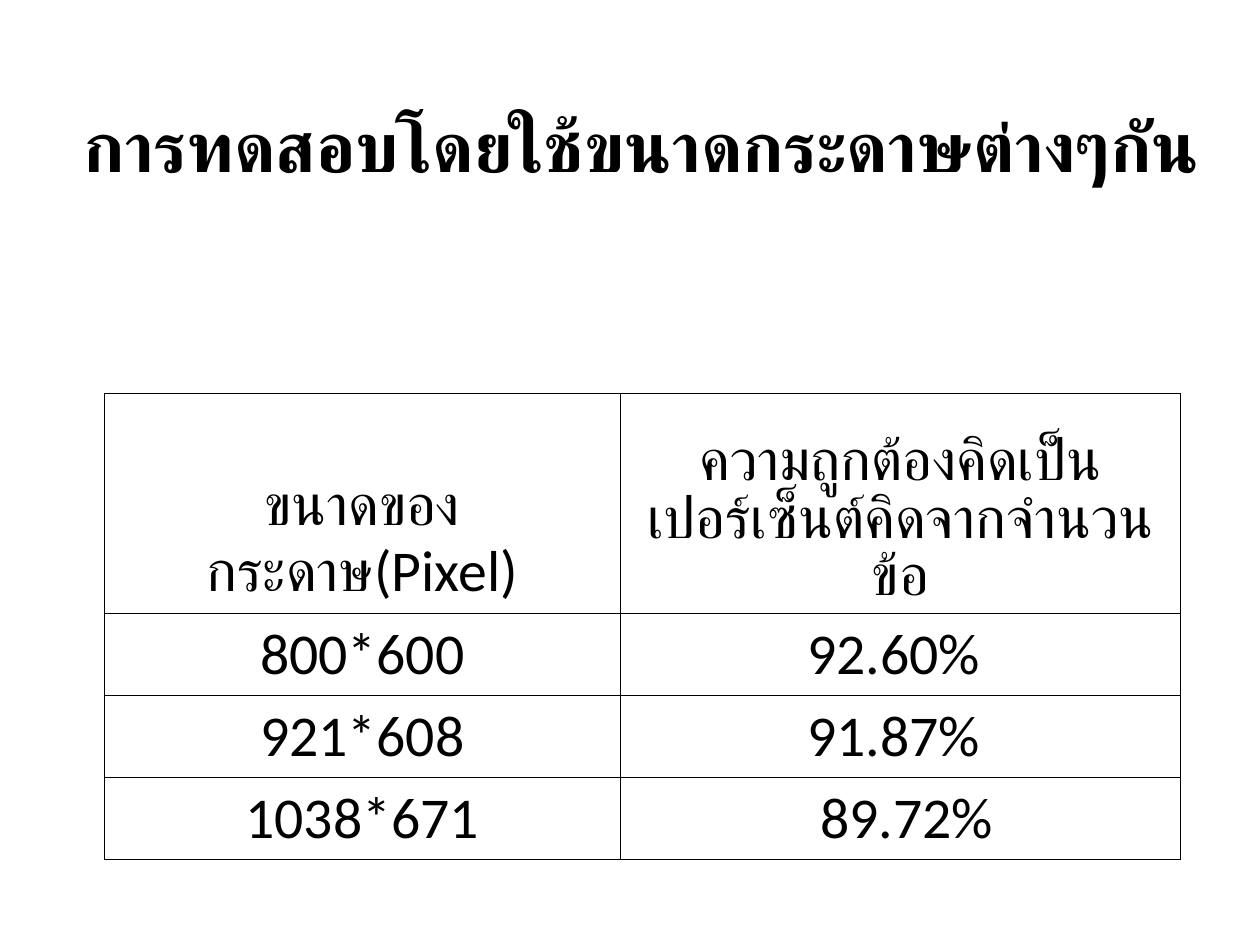
from lxml import etree
from pptx import Presentation
from pptx import util as u
from pptx.dml.color import RGBColor
from pptx.enum import text
from pptx.oxml import ns

BLACK = "000000"
TITLE = "การทดสอบโดยใช้ขนาดกระดาษต่างๆกัน"
ROWS = [
    ("ขนาดของกระดาษ(Pixel)", "ความถูกต้องคิดเป็นเปอร์เซ็นต์คิดจากจำนวนข้อ"),
    ("800*600", "92.60% "),
    ("921*608", "91.87% "),
    ("1038*671", " 89.72%"),
]
COL_WIDTHS = [10.39, 11.3]
ROW_HEIGHTS = [4.45, 1.65, 1.65, 1.65]


def color(value):
    return RGBColor.from_string(value)


def format_text(p, font, size, align, bold=False):
    p.alignment = align
    for r in p.runs:
        r.font.name = font
        r.font.size = u.Pt(size)
        r.font.bold = bold
        r.font.color.rgb = color(BLACK)


def add_borders(cell, width, line_color):
    # Border lines come before the fill in the cell properties
    tcPr = cell._tc.get_or_add_tcPr()
    for i, side in enumerate(("lnL", "lnR", "lnT", "lnB")):
        ln = etree.Element(ns.qn(f"a:{side}"), w=str(u.Pt(width)))
        fill = etree.SubElement(ln, ns.qn("a:solidFill"))
        etree.SubElement(fill, ns.qn("a:srgbClr"), val=line_color)
        tcPr.insert(i, ln)


def set_title(s):
    sp = s.shapes.title
    sp.left, sp.top, sp.width, sp.height = map(u.Cm, (1.42, 1.93, 23.47, 1.96))
    tf = sp.text_frame
    tf.text = TITLE
    tf.word_wrap = False
    tf.auto_size = text.MSO_AUTO_SIZE.SHAPE_TO_FIT_TEXT
    tf.vertical_anchor = text.MSO_ANCHOR.MIDDLE
    format_text(tf.paragraphs[0], "Arial", 40, text.PP_ALIGN.LEFT, bold=True)


def add_results_table(s):
    table = s.shapes.add_table(
        len(ROWS), len(COL_WIDTHS), u.Cm(2.11), u.Cm(7.92),
        u.Cm(sum(COL_WIDTHS)), u.Cm(sum(ROW_HEIGHTS))).table
    table.first_row = table.horz_banding = False
    for column, width in zip(table.columns, COL_WIDTHS):
        column.width = u.Cm(width)
    for row, height, values in zip(table.rows, ROW_HEIGHTS, ROWS):
        row.height = u.Cm(height)
        for cell, value in zip(row.cells, values):
            cell.text_frame.text = value
            cell.vertical_anchor = text.MSO_ANCHOR.BOTTOM
            cell.fill.background()
            add_borders(cell, 0.45, BLACK)
            format_text(cell.text_frame.paragraphs[0], "Calibri", 33,
                        text.PP_ALIGN.CENTER)


def main():
    prs = Presentation()
    prs.slide_width, prs.slide_height = u.Cm(25.4), u.Cm(19.05)
    s = prs.slides.add_slide(prs.slide_layouts[5])  # title only
    set_title(s)
    add_results_table(s)
    prs.save("out.pptx")


if __name__ == "__main__":
    main()
